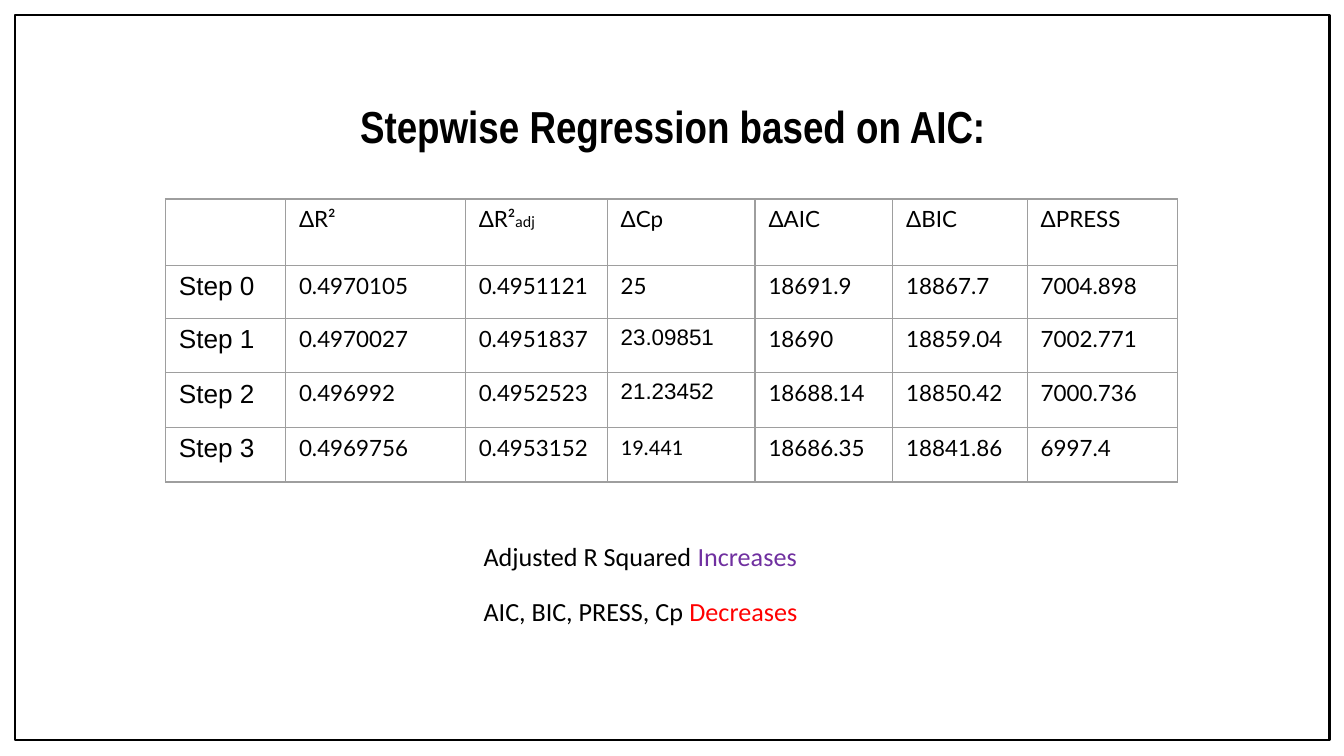
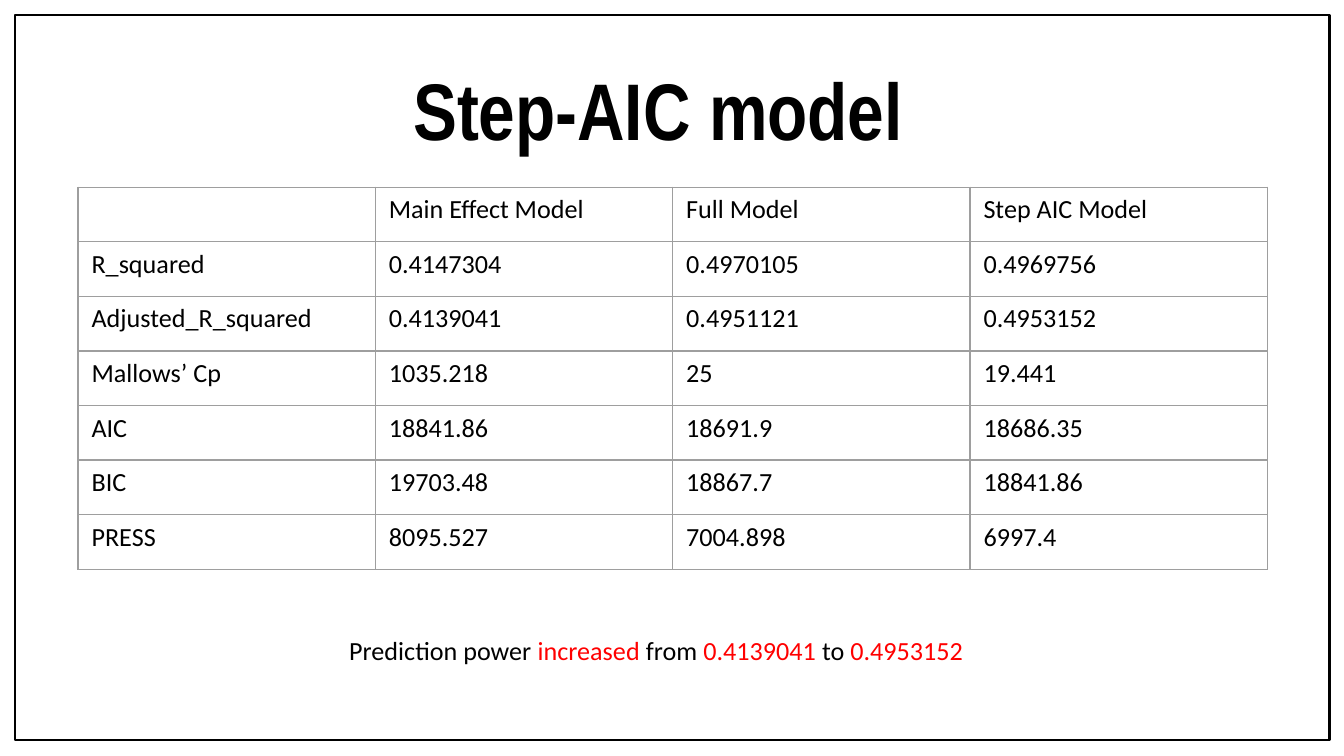
"""Build two slides that compare stepwise regression models chosen by AIC."""
import dataclasses

import lxml.etree
import pptx
import pptx.dml.color
import pptx.enum.shapes
import pptx.enum.text
import pptx.oxml.ns
import pptx.util

PX = 5715


@dataclasses.dataclass(frozen=True)
class Theme:
    black: str = "000000"
    grid: str = "9E9E9E"
    purple: str = "7030A0"
    red: str = "FF0000"
    title_font: str = "Arial Narrow"
    body_font: str = "Calibri"
    value_font: str = "Lato"
    label_font: str = "Arial"
    title_size: int = 43
    subtitle_size: int = 24
    body_size: int = 14
    value_size: int = 12
    subscript_size: int = 8
    frame_width: float = 1.5
    grid_width: float = 0.75


theme = Theme()


def style(font, name, size):
    font.name = name
    font.size = pptx.util.Pt(size)
    font.color.rgb = pptx.dml.color.RGBColor.from_string(theme.black)


def add_grid(s, x, y, widths, heights, rows, name, size):
    tbl = s.shapes.add_table(len(rows), len(widths), x * PX, y * PX,
                             sum(widths) * PX, sum(heights) * PX).table
    tbl.first_row = tbl.horz_banding = False
    for col, width in zip(tbl.columns, widths):
        col.width = width * PX
    for row, height, texts in zip(tbl.rows, heights, rows):
        row.height = height * PX
        for cell, text in zip(row.cells, texts):
            tcPr = cell._tc.get_or_add_tcPr()
            for side in ("a:lnL", "a:lnR", "a:lnT", "a:lnB"):
                ln = lxml.etree.SubElement(tcPr, pptx.oxml.ns.qn(side),
                                           w=str(pptx.util.Pt(theme.grid_width)))
                fill = lxml.etree.SubElement(ln, pptx.oxml.ns.qn("a:solidFill"))
                lxml.etree.SubElement(fill, pptx.oxml.ns.qn("a:srgbClr"), val=theme.grid)
            cell.fill.background()
            p = cell.text_frame.paragraphs[0]
            if text:
                p.text = text
                style(p.font, name, size)
    return tbl


prs = pptx.Presentation()
prs.slide_width, prs.slide_height = 1600 * PX, 900 * PX

titles = [
    ("Stepwise Regression based on AIC:", theme.subtitle_size, (122, 110, 1358, 80), 8),
    ("Step-AIC model", theme.title_size, (109, 56, 1349, 123), 16),
]
for text, size, box, margin in titles:
    s = prs.slides.add_slide(prs.slide_layouts[5])
    sp = s.shapes.title
    sp.left, sp.top, sp.width, sp.height = [v * PX for v in box]
    tf = sp.text_frame
    tf.auto_size = pptx.enum.text.MSO_AUTO_SIZE.NONE
    tf.vertical_anchor = pptx.enum.text.MSO_ANCHOR.TOP
    tf.margin_top = tf.margin_bottom = margin * PX
    p = tf.paragraphs[0]
    p.text = text
    p.alignment = pptx.enum.text.PP_ALIGN.CENTER
    style(p.font, theme.title_font, size)
    p.font.bold = True

steps_slide, models_slide = prs.slides

frame = steps_slide.shapes.add_shape(pptx.enum.shapes.MSO_SHAPE.RECTANGLE,
                                     18 * PX, 18 * PX, 1565 * PX, 863 * PX)
frame.shadow.inherit = False
frame.fill.background()
frame.line.color.rgb = pptx.dml.color.RGBColor.from_string(theme.black)
frame.line.width = pptx.util.Pt(theme.frame_width)
frame.element.nvSpPr.cNvPr.set("id", "20")
prs.slide_master.shapes.element.insert(2, frame.element)

steps = [
    ("", "ΔR²", "ΔR²", "ΔCp", "ΔAIC", "ΔBIC", "ΔPRESS"),
    ("Step 0", "0.4970105", "0.4951121", "25", "18691.9", "18867.7", "7004.898"),
    ("Step 1", "0.4970027", "0.4951837", "23.09851", "18690", "18859.04", "7002.771"),
    ("Step 2", "0.496992", "0.4952523", "21.23452", "18688.14", "18850.42", "7000.736"),
    ("Step 3", "0.4969756", "0.4953152", "19.441", "18686.35", "18841.86", "6997.4"),
]
tbl = add_grid(steps_slide, 197, 237, (143, 214, 169, 176, 164, 160, 179),
               (79, 63, 65, 65, 65), steps, theme.value_font, theme.value_size)
for row in range(1, len(steps)):
    style(tbl.cell(row, 0).text_frame.paragraphs[0].font, theme.label_font, theme.body_size)
for row, name in ((2, theme.label_font), (3, theme.label_font), (4, theme.body_font)):
    tbl.cell(row, 3).text_frame.paragraphs[0].font.name = name
r = tbl.cell(0, 2).text_frame.paragraphs[0].add_run()
r.text = "adj"
r.font.size = pptx.util.Pt(theme.subscript_size)

models = [
    ("", "Main Effect Model", "Full Model", "Step AIC Model"),
    ("R_squared", "0.4147304", "0.4970105", "0.4969756"),
    ("Adjusted_R_squared", "0.4139041", "0.4951121", "0.4953152"),
    ("Mallows’ Cp", "1035.218", "25", "19.441"),
    ("AIC", "18841.86", "18691.9", "18686.35"),
    ("BIC", "19703.48", "18867.7", "18841.86"),
    ("PRESS", "8095.527", "7004.898", "6997.4"),
]
add_grid(models_slide, 93, 223, [354] * 4, [65] * len(models), models,
         theme.body_font, theme.body_size)

captions = [
    (steps_slide, 560, 635, 512,
     [("Adjusted R Squared ", theme.black), ("Increases", theme.purple)]),
    (steps_slide, 560, 701, 512,
     [("AIC, BIC, PRESS, Cp ", theme.black), ("Decreases", theme.red)]),
    (models_slide, 400, 747, 800,
     [("Prediction power ", theme.black), ("increased", theme.red),
      (" from ", theme.black), ("0.4139041", theme.red),
      (" to ", theme.black), ("0.4953152", theme.red)]),
]
for s, x, y, width, parts in captions:
    tf = s.shapes.add_textbox(x * PX, y * PX, width * PX, 54 * PX).text_frame
    tf.word_wrap = True
    tf.auto_size = pptx.enum.text.MSO_AUTO_SIZE.SHAPE_TO_FIT_TEXT
    p = tf.paragraphs[0]
    style(p.font, theme.body_font, theme.body_size)
    for text, color in parts:
        r = p.add_run()
        r.text = text
        r.font.color.rgb = pptx.dml.color.RGBColor.from_string(color)

prs.save("out.pptx")
